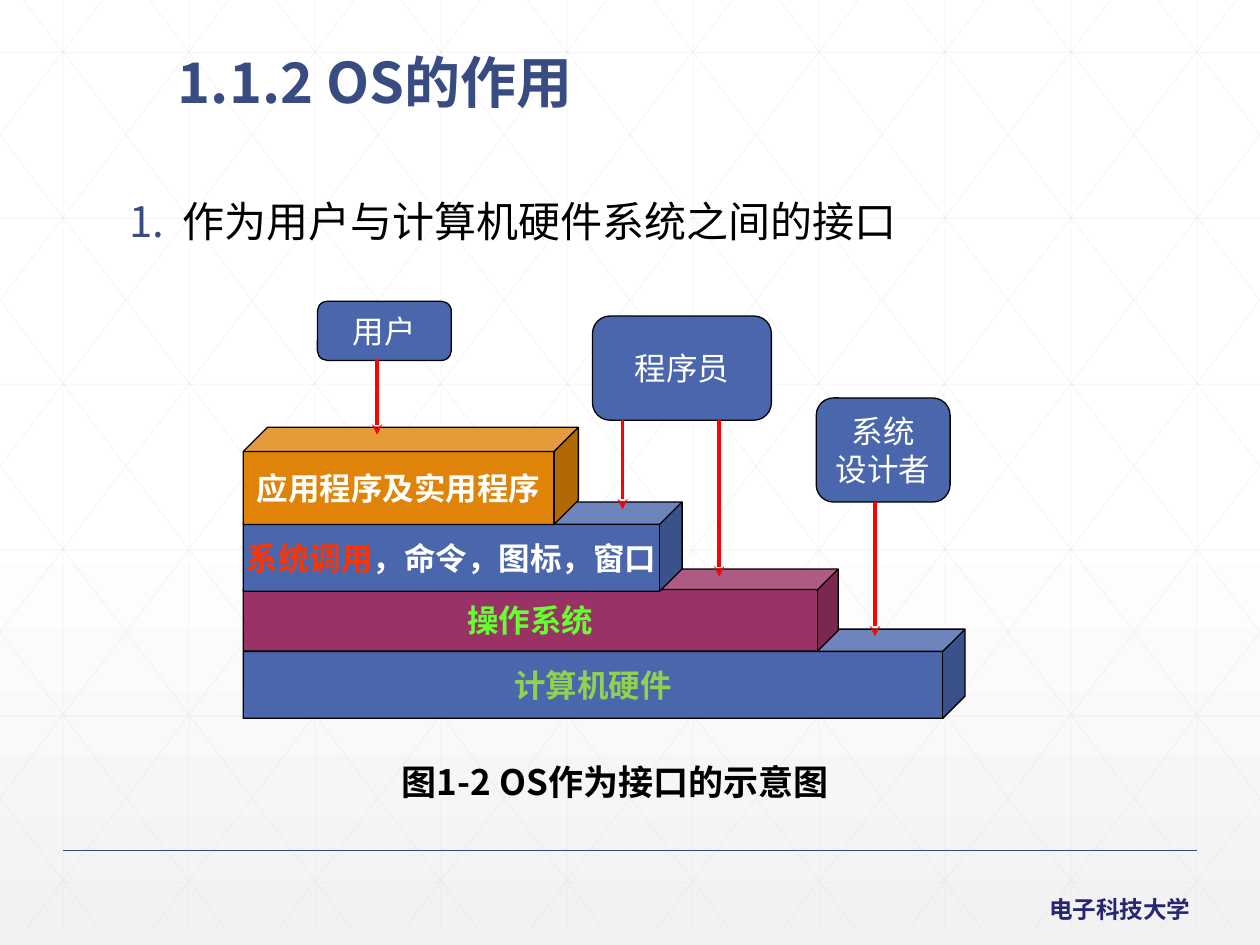
import pptx
import pptx.util
import pptx.dml.color
import pptx.enum.shapes
import pptx.enum.text
import pptx.oxml.ns
from lxml import etree

Pt = pptx.util.Pt
SHAPE = pptx.enum.shapes.MSO_SHAPE
ALIGN = pptx.enum.text.PP_ALIGN
ANCHOR = pptx.enum.text.MSO_ANCHOR
qn = pptx.oxml.ns.qn

COLORS = {
    "white": "FFFFFF", "fade": "F2F2F2", "grid": "D9D9D9", "navy": "384C81",
    "school": "262673", "black": "000000", "blue": "4A66AC", "plum": "993366",
    "orange": "DF8309", "red": "FF0000", "call": "FF3300", "lime": "66FF33",
    "green": "92D050",
}
CJK = "Noto Sans CJK SC"
WIDE, HIGH = 720, 540
FLOOR = 531  # lower end of the grid


def color(name):
    return pptx.dml.color.RGBColor.from_string(COLORS[name])


def style(run, size, tint, bold, face):
    font = run.font
    font.size, font.bold, font.name = Pt(size), bold, face
    font.color.rgb = color(tint)
    east = etree.SubElement(run._r.rPr, qn("a:ea"))
    east.set("typeface", CJK)


def write(frame, text, size, tint, bold=False, face=CJK, align=ALIGN.LEFT):
    frame.text = text
    for para in frame.paragraphs:
        para.alignment = align
        for run in para.runs:
            style(run, size, tint, bold, face)


def label(slide, box, text, size, tint, bold=False, align=ALIGN.LEFT):
    shape = slide.shapes.add_textbox(*map(Pt, box))
    frame = shape.text_frame
    frame.word_wrap = True
    write(frame, text, size, tint, bold, align=align)
    return frame


def block(slide, kind, box, fill, text, tint="white", bold=False):
    """Add an outlined shape with centred text and return its text frame."""
    shape = slide.shapes.add_shape(kind, *map(Pt, box))
    shape.shadow.inherit = False
    shape.fill.solid()
    shape.fill.fore_color.rgb = color(fill)
    shape.line.color.rgb = color("black")
    shape.line.width = Pt(0.75)
    frame = shape.text_frame
    frame.word_wrap = False
    frame.vertical_anchor = ANCHOR.MIDDLE
    write(frame, text, 18, tint, bold, "Arial", ALIGN.CENTER)
    return frame


def line(shapes, start, end, tint, width):
    """Add a straight line and return its a:ln element."""
    link = shapes.add_connector(pptx.enum.shapes.MSO_CONNECTOR.STRAIGHT,
                                *map(Pt, (*start, *end)))
    link.line.color.rgb = color(tint)
    link.line.width = Pt(width)
    etree.SubElement(link._element.spPr, qn("a:effectLst"))
    return link.line._get_or_add_ln()


def arrow(slide, x, top, end):
    stroke = line(slide.shapes, (x, top), (x, end), "red", 2)
    etree.SubElement(stroke, qn("a:tailEnd")).set("type", "stealth")


def faint(shapes, start, end):
    stroke = line(shapes, start, end, "grid", 0.5)
    tint = stroke.find(".//" + qn("a:srgbClr"))
    etree.SubElement(tint, qn("a:alpha")).set("val", "25000")


def grid(slide):
    """Draw the faint net of upright, level and slanted lines."""
    shapes = slide.shapes.add_group_shape().shapes
    for x in range(36, WIDE, 72):
        faint(shapes, (x, 0), (x, FLOOR))
    for row in range(6):
        y = 30 + 94.8 * row
        faint(shapes, (0, y), (WIDE, y))
    slope = 0.76  # run to the side per unit of fall
    for col in range(-5, 10):
        base = 13.5 + 72 * col
        top = max(0, -base / slope)
        end = min(FLOOR, (WIDE - base) / slope)
        left, right = base + slope * top, base + slope * end
        faint(shapes, (left, top), (right, end))
        faint(shapes, (WIDE - left, top), (WIDE - right, end))


def backdrop(slide):
    fill = slide.background.fill
    fill.gradient()
    fill.gradient_angle = 270
    for stop, place, tint in zip(fill.gradient_stops, (0.53, 1),
                                 ("white", "fade")):
        stop.position = place
        stop.color.rgb = color(tint)


def number(para):
    """Give the paragraph a hanging automatic number."""
    props = para._p.get_or_add_pPr()
    props.set("marL", str(Pt(30)))
    props.set("indent", str(Pt(-30)))
    tint = etree.SubElement(props, qn("a:buClr"))
    etree.SubElement(tint, qn("a:srgbClr")).set("val", COLORS["navy"])
    etree.SubElement(props, qn("a:buAutoNum")).set("type", "arabicPeriod")
    para.line_spacing = 0.9


def layers(slide):
    """Stack the cubes from the hardware up."""
    left = 139
    for top, width, height, fill, text, tint in (
            (359.5, 412.5, 51, "blue", "计算机硬件", "green"),
            (325.2, 340, 46.8, "plum", "操作系统", "lime"),
            (286.8, 250.8, 51, "blue", "系统调用", "call"),
            (244.2, 191.5, 55.5, "orange", "应用程序及实用程序", "white")):
        frame = block(slide, SHAPE.CUBE, (left, top, width, height),
                      fill, text, tint, True)
        if tint == "call":
            run = frame.paragraphs[0].add_run()
            run.text = "，命令，图标，窗口"
            style(run, 18, "white", True, "Arial")


def roles(slide):
    """Add each kind of person with arrows to the layers they use."""
    for box, text, aims in (
            ((466.4, 227.4, 76.5, 59.5), "系统\n设计者", [(500, 363.6)]),
            ((338.6, 180.6, 102.2, 59.5), "程序员",
             [(411, 329.5), (355.8, 291)]),
            ((181.4, 172.2, 76.5, 33.8), "用户", [(215.5, 248.4)])):
        block(slide, SHAPE.ROUNDED_RECTANGLE, box, "blue", text)
        for x, end in aims:
            arrow(slide, x, box[1] + box[3], end)


def main():
    deck = pptx.Presentation()
    deck.slide_width, deck.slide_height = Pt(WIDE), Pt(HIGH)
    slide = deck.slides.add_slide(deck.slide_layouts[6])
    backdrop(slide)
    grid(slide)
    line(slide.shapes, (36, 486), (684, 486), "navy", 1)
    school = label(slide, (592.5, 507.6, 96.5, 23.8), "电子科技大学", 13.5,
                   "school", True)
    school.word_wrap = False
    topic = label(slide, (67, 111.6, 501.8, 33.8),
                  "作为用户与计算机硬件系统之间的接口", 24, "black")
    number(topic.paragraphs[0])
    note = label(slide, (222.5, 431.3, 267, 31.7),
                 "图1-2 OS作为接口的示意图", 20, "black", True)
    note.margin_right = Pt(14)
    layers(slide)
    roles(slide)
    title = label(slide, (0, 17.3, 429, 58.3), "1.1.2 OS的作用", 32,
                  "navy", True, ALIGN.CENTER)
    title.vertical_anchor = ANCHOR.MIDDLE
    deck.save("out.pptx")


if __name__ == "__main__":
    main()
